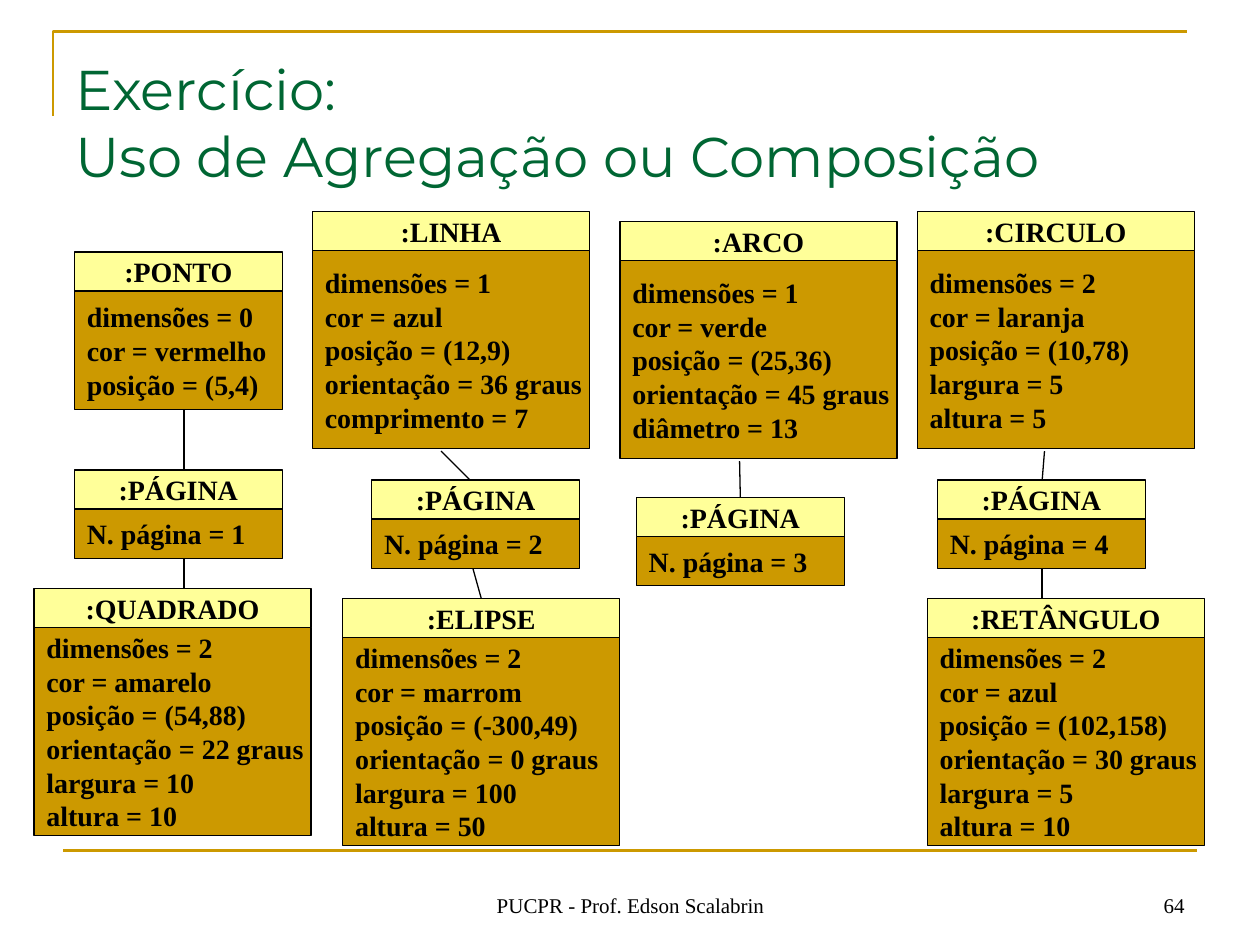
from dataclasses import dataclass

from lxml import etree
from pptx import Presentation
from pptx import util as u
from pptx.dml.color import RGBColor
from pptx.enum import shapes, text
from pptx.oxml.ns import qn


@dataclass(frozen=True)
class Theme:
    ink: str = "000000"
    gold: str = "CC9900"
    cream: str = "FFFF99"
    green: str = "006633"
    body_font: str = "Times New Roman"
    title_font: str = "Montserrat"
    title_size: float = 32
    body_size: float = 16
    footer_size: float = 12
    rule: float = 1.5
    hairline: float = 0.75


THEME = Theme()
NAME_HEIGHT = 0.31
WIDE, NARROW = 2.2, 1.65
PAGE_HEIGHT = 0.39


def write(frame, lines, *, size=THEME.body_size, font=THEME.body_font,
          color=THEME.ink, bold=False, align=text.PP_ALIGN.LEFT,
          anchor=text.MSO_ANCHOR.MIDDLE, wrap=False):
    """Fill a text frame, one paragraph per line."""
    frame.word_wrap = wrap
    frame.vertical_anchor = anchor
    frame.text = "\n".join(lines)
    for paragraph in frame.paragraphs:
        paragraph.alignment = align
        for run in paragraph.runs:
            run.font.size = u.Pt(size)
            run.font.name = font
            run.font.bold = bold
            run.font.color.rgb = RGBColor.from_string(color)


class ObjectDiagram:
    def __init__(self, slide, theme):
        self.slide = slide
        self.theme = theme

    def stroke(self, line, color, width):
        line.color.rgb = RGBColor.from_string(color)
        line.width = u.Pt(width)

    def label(self, left, top, width, height, lines, **style):
        box = self.slide.shapes.add_textbox(*map(u.Inches, (left, top, width, height)))
        write(box.text_frame, lines, wrap=True, anchor=text.MSO_ANCHOR.BOTTOM, **style)

    def line(self, start, end, color, width):
        link = self.slide.shapes.add_connector(
            shapes.MSO_CONNECTOR.STRAIGHT, *map(u.Inches, (*start, *end)))
        self.stroke(link.line, color, width)
        etree.SubElement(link._element.spPr, qn("a:effectLst"))

    def corner(self, points):
        first, *rest = [tuple(map(u.Inches, point)) for point in points]
        builder = self.slide.shapes.build_freeform(*first)
        builder.add_line_segments(rest, close=False)
        frame = builder.convert_to_shape()
        frame.shadow.inherit = False
        frame.fill.background()
        self.stroke(frame.line, self.theme.gold, self.theme.rule)

    def box(self, left, top, width, height, fill, lines, align):
        rect = self.slide.shapes.add_shape(
            shapes.MSO_SHAPE.RECTANGLE, *map(u.Inches, (left, top, width, height)))
        rect.shadow.inherit = False
        rect.fill.solid()
        rect.fill.fore_color.rgb = RGBColor.from_string(fill)
        self.stroke(rect.line, self.theme.ink, self.theme.hairline)
        write(rect.text_frame, lines, bold=True, align=align)

    def instance(self, name, left, top, width, height, attributes):
        """Attribute box with the object's name band on top."""
        self.box(left, top + NAME_HEIGHT, width, height, self.theme.gold,
                 attributes, text.PP_ALIGN.LEFT)
        self.box(left, top, width, NAME_HEIGHT, self.theme.cream,
                 [f":{name}"], text.PP_ALIGN.CENTER)


# Name, left, top, width, attribute height, attributes
FIGURES = [
    ("PONTO", 0.59, 2, NARROW, 0.94,
     ["dimensões = 0", "cor = vermelho", "posição = (5,4)"]),
    ("LINHA", 2.48, 1.68, WIDE, 1.57,
     ["dimensões = 1", "cor = azul", "posição = (12,9)",
      "orientação = 36 graus", "comprimento = 7"]),
    ("ARCO", 4.92, 1.76, WIDE, 1.57,
     ["dimensões = 1", "cor = verde", "posição = (25,36)",
      "orientação = 45 graus", "diâmetro = 13"]),
    ("CIRCULO", 7.28, 1.68, WIDE, 1.57,
     ["dimensões = 2", "cor = laranja", "posição = (10,78)",
      "largura = 5", "altura = 5"]),
    ("QUADRADO", 0.27, 4.67, WIDE, 1.65,
     ["dimensões = 2", "cor = amarelo", "posição = (54,88)",
      "orientação = 22 graus", "largura = 10", "altura = 10"]),
    ("ELIPSE", 2.72, 4.75, WIDE, 1.65,
     ["dimensões = 2", "cor = marrom", "posição = (-300,49)",
      "orientação = 0 graus", "largura = 100", "altura = 50"]),
    ("RETÂNGULO", 7.36, 4.75, WIDE, 1.65,
     ["dimensões = 2", "cor = azul", "posição = (102,158)",
      "orientação = 30 graus", "largura = 5", "altura = 10"]),
]
PAGES = [(0.59, 3.73), (2.95, 3.81), (5.05, 3.95), (7.44, 3.81)]
LINKS = [
    ((1.46, 3.25), (1.46, 3.75)),
    ((1.46, 4.75), (1.46, 4.41)),
    ((3.5, 3.58), (3.76, 3.84)),
    ((3.75, 4.5), (3.82, 4.75)),
    ((5.87, 3.66), (5.88, 4.16)),
    ((8.29, 3.58), (8.27, 3.83)),
    ((8.27, 4.5), (8.27, 4.75)),
]


def main():
    deck = Presentation()
    deck.slide_width, deck.slide_height = u.Inches(10), u.Inches(7.5)
    diagram = ObjectDiagram(deck.slides.add_slide(deck.slide_layouts[6]), THEME)

    # Frame rules
    diagram.corner([(0.42, 0.92), (0.42, 0.25), (9.42, 0.25)])
    diagram.line((0.5, 6.75), (9.5, 6.75), THEME.gold, THEME.rule)

    # Footer and title
    diagram.label(3.42, 6.83, 3.17, 0.5, ["PUCPR - Prof. Edson Scalabrin"],
                  size=THEME.footer_size, align=text.PP_ALIGN.CENTER)
    diagram.label(7.17, 6.83, 2.33, 0.5, ["64"],
                  size=THEME.footer_size, align=text.PP_ALIGN.RIGHT)
    diagram.label(0.5, 0.3, 9, 1.25, ["Exercício:\vUso de Agregação ou Composição"],
                  size=THEME.title_size, font=THEME.title_font, color=THEME.green)

    # Links lie behind the objects
    for start, end in LINKS:
        diagram.line(start, end, THEME.ink, THEME.hairline)

    # Figures and their numbered pages
    for figure in FIGURES:
        diagram.instance(*figure)
    for number, (left, top) in enumerate(PAGES, start=1):
        diagram.instance("PÁGINA", left, top, NARROW, PAGE_HEIGHT,
                         [f"N. página = {number}"])

    deck.save("out.pptx")


if __name__ == "__main__":
    main()
